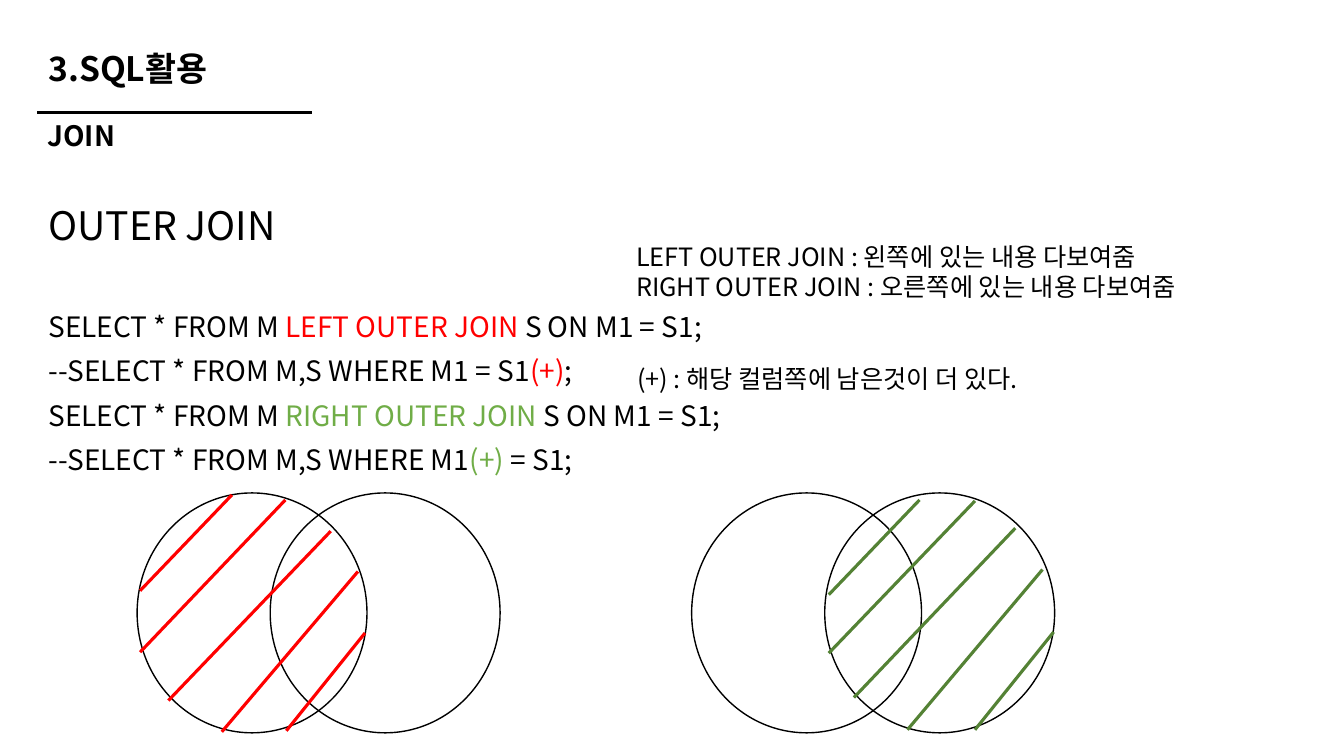
from dataclasses import dataclass
from lxml import etree
from pptx import Presentation
from pptx import util as u
from pptx.dml.color import RGBColor
from pptx.enum import shapes, text
from pptx.oxml import ns


@dataclass
class Theme:
    font: str = "Noto Sans CJK KR"
    black: str = "000000"
    red: str = "FF0000"
    lime: str = "70AD47"
    green: str = "548235"
    head: int = 28
    title: int = 24
    code: int = 20
    note: int = 18


look = Theme()
deck = Presentation()
deck.slide_width, deck.slide_height = u.Inches(13.33), u.Inches(7.5)
slide = deck.slides.add_slide(deck.slide_layouts[3])


def write(para, parts, size, bold=False, lead=0.9, gap=0):
    props = para._p.get_or_add_pPr()
    props.set("marL", "0")
    props.set("indent", "0")
    etree.SubElement(props, ns.qn("a:buNone"))
    para.alignment = text.PP_ALIGN.LEFT
    para.line_spacing, para.space_before = lead, u.Pt(gap)
    font = para.font
    font.size, font.bold, font.name = u.Pt(size), bold, look.font
    font.color.rgb = RGBColor.from_string(look.black)
    east = etree.SubElement(props.find(ns.qn("a:defRPr")), ns.qn("a:ea"))
    east.set("typeface", look.font)
    for words, tint in parts:
        run = para.add_run()
        run.text = words
        if tint:
            run.font.color.rgb = RGBColor.from_string(tint)


def draw(home, ends, tint):
    line = home.add_connector(shapes.MSO_CONNECTOR.STRAIGHT, *map(u.Inches, ends))
    line.line.color.rgb = RGBColor.from_string(tint)
    line.line.width = u.Pt(2.25)
    etree.SubElement(line._element.spPr, ns.qn("a:effectLst"))


title, body, topic = slide.placeholders
middle, top = text.MSO_ANCHOR.MIDDLE, text.MSO_ANCHOR.TOP
for holder, place, anchor in (
    (title, (0.38, 0.31, 4.35, 0.79), middle),
    (body, (0.38, 2, 12.53, 5.28), top),
    (topic, (0.37, 1.13, 2.59, 0.47), middle),
):
    holder.left, holder.top, holder.width, holder.height = map(u.Inches, place)
    holder.text_frame.auto_size = text.MSO_AUTO_SIZE.NONE
    holder.text_frame.vertical_anchor = anchor

write(title.text_frame.paragraphs[0], [("3.SQL활용", None)], look.title, True)
write(topic.text_frame.paragraphs[0], [("JOIN", None)], look.code, True)
write(body.text_frame.paragraphs[0], [("OUTER JOIN", None)], look.head)
for gap, parts in (
    (46, [("SELECT * FROM M ", None), ("LEFT OUTER JOIN ", look.red), ("S ON M1 = S1;", None)]),
    (10, [("--SELECT * FROM M,S WHERE M1 = S1", None), ("(+)", look.red), (";", None)]),
    (10, [("SELECT * FROM M ", None), ("RIGHT OUTER JOIN ", look.lime), ("S ON M1 = S1;", None)]),
    (10, [("--SELECT * FROM M,S WHERE M1", None), ("(+) ", look.lime), ("= S1;", None)]),
):
    write(body.text_frame.add_paragraph(), parts, look.code, gap=gap)

draw(slide.shapes, (0.37, 1.12, 3.09, 1.12), look.black)

left_lines = (
    (2.3, 4.91, 1.39, 5.86),
    (2.83, 4.96, 1.39, 6.47),
    (3.28, 5.27, 1.67, 6.95),
    (3.55, 5.67, 2.2, 7.26),
    (3.62, 6.28, 2.84, 7.25),
)
right_lines = (
    (9.12, 4.96, 8.22, 5.9),
    (9.67, 4.97, 8.22, 6.48),
    (10.07, 5.24, 8.47, 6.92),
    (10.34, 5.65, 9, 7.24),
    (10.45, 6.27, 9.67, 7.24),
)
for left, lines, tint in ((1.36, left_lines, look.red), (6.86, right_lines, look.green)):
    venn = slide.shapes.add_group_shape().shapes
    for shift in (0, 1.32):
        place = map(u.Inches, (left + shift, 4.89, 2.28, 2.38))
        ring = venn.add_shape(shapes.MSO_SHAPE.OVAL, *place)
        ring.shadow.inherit = False
        ring.fill.background()
        ring.line.color.rgb = RGBColor.from_string(look.black)
        ring.line.width = u.Pt(1)
    for ends in lines:
        draw(venn, ends, tint)

for place, notes in (
    ((6.21, 2.34, 5.91, 0.71), ("LEFT OUTER JOIN : 왼쪽에 있는 내용 다보여줌",
                                "RIGHT OUTER JOIN : 오른쪽에 있는 내용 다보여줌")),
    ((6.22, 3.56, 4.41, 0.4), ("(+) : 해당 컬럼쪽에 남은것이 더 있다.",)),
):
    frame = slide.shapes.add_textbox(*map(u.Inches, place)).text_frame
    frame.word_wrap = False
    for row, note in enumerate(notes):
        para = frame.add_paragraph() if row else frame.paragraphs[0]
        write(para, [(note, None)], look.note, lead=1.0)

deck.save("out.pptx")
